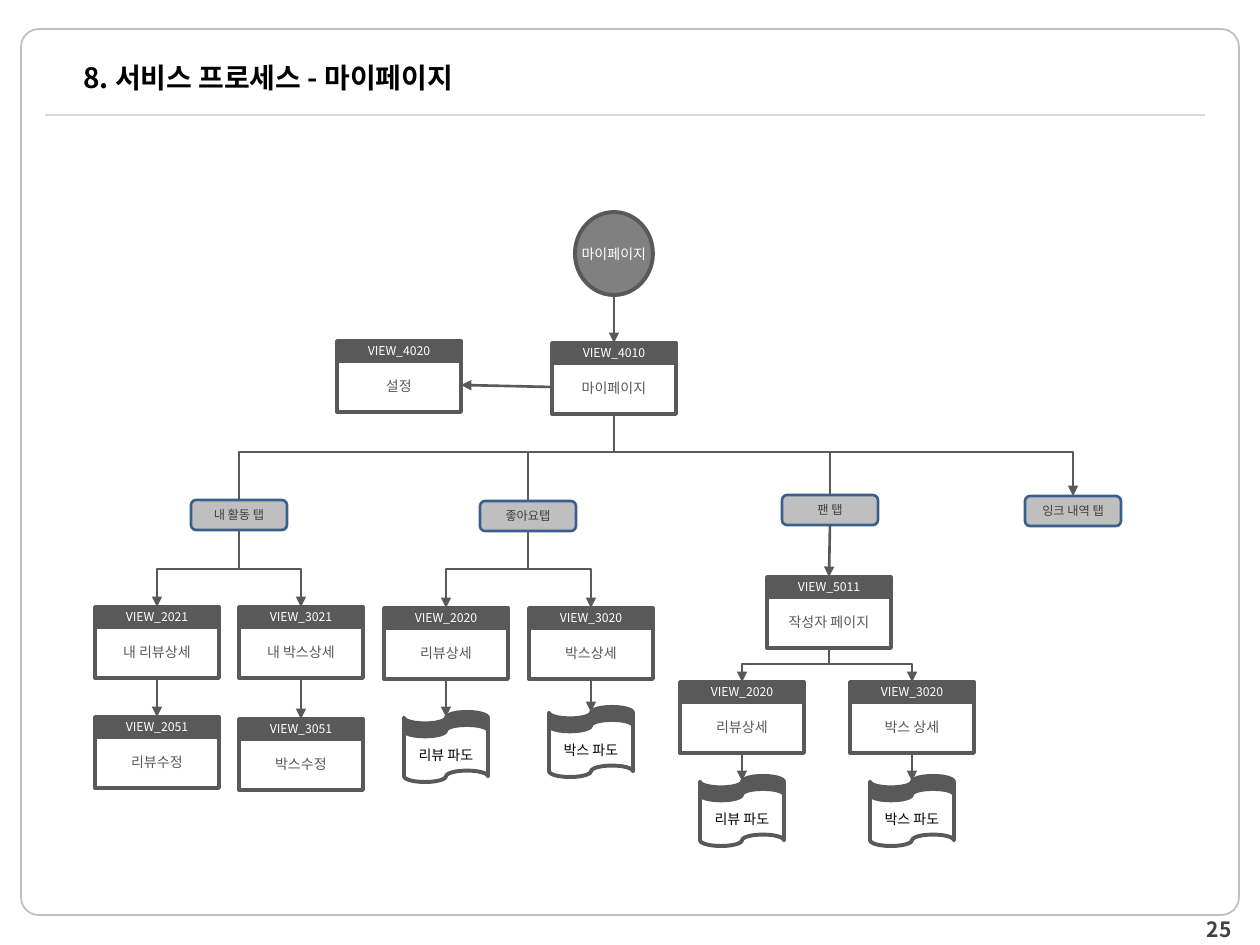
from dataclasses import dataclass

from lxml import etree
from pptx import Presentation
from pptx.dml.color import RGBColor
from pptx.enum.shapes import MSO_CONNECTOR, MSO_SHAPE
from pptx.enum.text import MSO_ANCHOR, PP_ALIGN
from pptx.oxml.ns import qn
from pptx.util import Emu, Pt

ELLIPSE = MSO_SHAPE.OVAL
RECTANGLE = MSO_SHAPE.RECTANGLE
ROUNDED = MSO_SHAPE.ROUNDED_RECTANGLE
TAPE = MSO_SHAPE.FLOWCHART_PUNCHED_TAPE
STRAIGHT = MSO_CONNECTOR.STRAIGHT
ELBOW = MSO_CONNECTOR.ELBOW
MIDDLE = MSO_ANCHOR.MIDDLE
LEFT, CENTER, RIGHT = PP_ALIGN.LEFT, PP_ALIGN.CENTER, PP_ALIGN.RIGHT
EMU_PER_PX = 914400 / 126


def px(value):
    return Emu(round(value * EMU_PER_PX))


@dataclass(frozen=True)
class Theme:
    font: str = "Noto Sans CJK KR"
    black: str = "000000"
    white: str = "FFFFFF"
    dark: str = "595959"
    text: str = "404040"
    circle: str = "808080"
    gray: str = "BFBFBF"
    rule: str = "D9D9D9"
    blue: str = "3A5F8C"
    title_size: int = 16
    page_size: int = 12
    body_size: int = 8
    label_size: int = 7
    thick: float = 2.25
    medium: float = 2
    thin: float = 1.5
    hairline: float = 1


@dataclass(frozen=True)
class Node:
    center: int
    top: int
    bottom: int


class FlowSlide:
    def __init__(self, slide, theme):
        self.slide = slide
        self.theme = theme

    def set_text(self, frame, text, size, color, align=CENTER, bold=False, wrap=True):
        frame.word_wrap = wrap
        frame.vertical_anchor = MIDDLE
        paragraph = frame.paragraphs[0]
        paragraph.text = text
        paragraph.alignment = align
        font = paragraph.font
        font.name = self.theme.font
        font.size = Pt(size)
        font.bold = bold
        font.color.rgb = RGBColor.from_string(color)
        properties = paragraph._p.pPr.find(qn("a:defRPr"))
        etree.SubElement(properties, qn("a:ea"), typeface=self.theme.font)

    def label(self, text, box, size, color, **style):
        shape = self.slide.shapes.add_textbox(*map(px, box))
        self.set_text(shape.text_frame, text, size, color, **style)

    def shape(self, kind, box, fill, line, width):
        shape = self.slide.shapes.add_shape(kind, *map(px, box))
        shape.shadow.inherit = False
        if fill:
            shape.fill.solid()
            shape.fill.fore_color.rgb = RGBColor.from_string(fill)
        else:
            shape.fill.background()
        shape.line.color.rgb = RGBColor.from_string(line)
        shape.line.width = Pt(width)
        return shape

    def circle(self, text, center, top, width, height):
        theme = self.theme
        box = (center - width / 2, top, width, height)
        shape = self.shape(ELLIPSE, box, theme.circle, theme.dark, theme.thick)
        self.set_text(shape.text_frame, text, theme.body_size, theme.white, wrap=False)
        return Node(center, top, top + height)

    def card(self, code, name, center, top):
        theme = self.theme
        left = center - 62
        body = self.shape(RECTANGLE, (left, top + 18, 124, 53), theme.white, theme.dark, theme.thick)
        self.set_text(body.text_frame, name, theme.body_size, theme.dark)
        header = self.shape(RECTANGLE, (left, top, 124, 20), theme.dark, theme.dark, theme.medium)
        self.set_text(header.text_frame, code, theme.label_size, theme.white)
        return Node(center, top, top + 71)

    def tab(self, text, center, top):
        theme = self.theme
        shape = self.shape(ROUNDED, (center - 48, top, 96, 30), theme.gray, theme.blue, theme.thin)
        self.set_text(shape.text_frame, text, theme.label_size, theme.text)
        return Node(center, top, top + 30)

    def tape(self, text, center, top):
        theme = self.theme
        for offset, fill in ((0, theme.dark), (13, theme.white)):
            self.shape(TAPE, (center - 42, top + offset, 84, 57), fill, theme.dark, theme.thick)
        self.label(text, (center - 43, top + 28, 86, 30), theme.body_size, theme.black, wrap=False)
        return Node(center, top + 5, top + 70)

    def line(self, start, end, color=None, head=False, kind=STRAIGHT):
        connector = self.slide.shapes.add_connector(kind, *map(px, start + end))
        connector.line.color.rgb = RGBColor.from_string(color or self.theme.dark)
        connector.line.width = Pt(self.theme.thin)
        properties = connector._element.spPr
        if head:
            etree.SubElement(properties.find(qn("a:ln")), qn("a:tailEnd"), type="triangle")
        etree.SubElement(properties, qn("a:effectLst"))
        return connector

    def arrow(self, parent, child):
        self.line((parent.center, parent.bottom), (child.center, child.top), head=True)

    def branch(self, parent, child, bend, head=True):
        run = child.center - parent.center
        drop = child.top - parent.bottom
        middle_x = (parent.center + child.center) / 2
        middle_y = (parent.bottom + child.top) / 2
        start = (middle_x - drop / 2, middle_y - abs(run) / 2)
        end = (middle_x + drop / 2, middle_y + abs(run) / 2)
        connector = self.line(start, end, head=head, kind=ELBOW)
        properties = connector._element.spPr
        transform = properties.find(qn("a:xfrm"))
        transform.set("rot", str((90 if run < 0 else 270) * 60000))
        if run > 0:
            transform.set("flipH", "1")
        geometry = properties.find(qn("a:prstGeom"))
        adjustments = geometry.find(qn("a:avLst"))
        if adjustments is None:
            adjustments = etree.SubElement(geometry, qn("a:avLst"))
        ratio = round((bend - parent.bottom) / drop * 100000)
        etree.SubElement(adjustments, qn("a:gd"), name="adj1", fmla=f"val {ratio}")


def main():
    presentation = Presentation()
    presentation.slide_width = px(1260)
    presentation.slide_height = px(945)
    theme = Theme()
    flow = FlowSlide(presentation.slides.add_slide(presentation.slide_layouts[6]), theme)

    frame = flow.shape(ROUNDED, (21, 29, 1218, 886), None, theme.gray, theme.hairline)
    frame.adjustments[0] = 0.02
    flow.line((45, 115), (1205, 115), theme.rule)
    flow.label("25", (950, 919, 294, 20), theme.page_size, theme.text, align=RIGHT, bold=True)
    flow.label("8. 서비스 프로세스 - 마이페이지", (71, 23, 1118, 108), theme.title_size,
               theme.black, align=LEFT, bold=True)

    start = flow.circle("마이페이지", 614, 212, 78, 83)
    home = flow.card("VIEW_4010", "마이페이지", 614, 343)
    flow.card("VIEW_4020", "설정", 399, 341)
    activity = flow.tab("내 활동 탭", 239, 500)
    likes = flow.tab("좋아요탭", 528, 501)
    fans = flow.tab("팬 탭", 830, 495)
    ink = flow.tab("잉크 내역 탭", 1073, 496)
    author = flow.card("VIEW_5011", "작성자 페이지", 829, 577)

    flow.arrow(start, home)
    flow.line((552, 387), (461, 385), head=True)
    for tab in (activity, likes, fans, ink):
        flow.branch(home, tab, 452, head=tab is ink)
    flow.arrow(fans, author)

    edits = (
        (activity, 569, "VIEW_2021", "내 리뷰상세", 157, 607, "VIEW_2051", "리뷰수정", 717),
        (activity, 569, "VIEW_3021", "내 박스상세", 301, 607, "VIEW_3051", "박스수정", 719),
    )
    for parent, bend, code, name, center, top, edit_code, edit_name, edit_top in edits:
        detail = flow.card(code, name, center, top)
        flow.branch(parent, detail, bend)
        flow.arrow(detail, flow.card(edit_code, edit_name, center, edit_top))

    waves = (
        (likes, 569, "VIEW_2020", "리뷰상세", 446, 608, "리뷰 파도", 712),
        (likes, 569, "VIEW_3020", "박스상세", 591, 608, "박스 파도", 707),
        (author, 664, "VIEW_2020", "리뷰상세", 742, 682, "리뷰 파도", 776),
        (author, 664, "VIEW_3020", "박스 상세", 912, 682, "박스 파도", 776),
    )
    for parent, bend, code, name, center, top, wave, wave_top in waves:
        detail = flow.card(code, name, center, top)
        flow.branch(parent, detail, bend)
        flow.arrow(detail, flow.tape(wave, center, wave_top))

    presentation.save("out.pptx")


if __name__ == "__main__":
    main()
